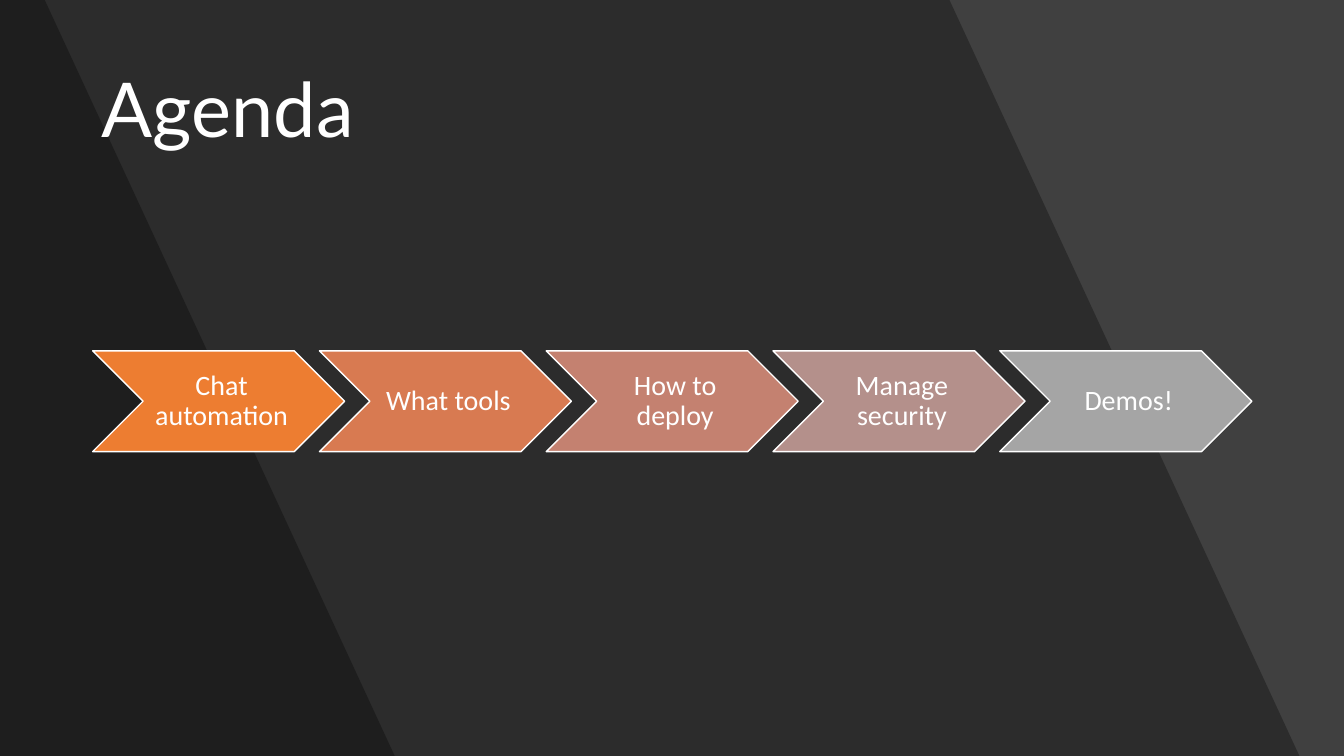
from dataclasses import dataclass

from lxml.etree import SubElement
from pptx import Presentation
from pptx.dml.color import RGBColor
from pptx.enum.shapes import MSO_SHAPE
from pptx.enum.text import MSO_ANCHOR, MSO_AUTO_SIZE, PP_ALIGN
from pptx.oxml.ns import qn
from pptx.util import Pt

WIDE, HIGH = 960, 540


@dataclass(frozen=True)
class Theme:
    back: str = "404040"
    shade: str = "000000"
    light: str = "FFFFFF"
    steps: tuple = ("ED7D31", "D87A51", "C48170", "B4908B", "A5A5A5")
    alpha: int = 30
    head: str = "Lato"
    body: str = "Calibri"
    large: int = 54
    small: int = 20


class Deck:
    def __init__(self, show, theme):
        self.theme = theme
        self.slide = show.slides.add_slide(show.slide_layouts[5])
        self.paint(self.slide.background.fill, theme.back)

    def paint(self, fill, color):
        fill.solid()
        fill.fore_color.rgb = RGBColor.from_string(color)

    def label(self, frame, text, face, size, align):
        frame.word_wrap = True
        frame.auto_size = MSO_AUTO_SIZE.NONE
        frame.vertical_anchor = MSO_ANCHOR.MIDDLE
        para = frame.paragraphs[0]
        para.alignment = align
        para.line_spacing = 0.9
        para.space_before = Pt(0)
        run = para.add_run()
        run.text = text
        run.font.name = face
        run.font.size = Pt(size)
        run.font.color.rgb = RGBColor.from_string(self.theme.light)

    def band(self, top, base):
        pen = self.slide.shapes.build_freeform(0, 0)
        edge = [(top, 0), (base, HIGH), (0, HIGH)]
        pen.add_line_segments([(Pt(x), Pt(y)) for x, y in edge], close=True)
        shape = pen.convert_to_shape()
        shape.shadow.inherit = False
        shape.line.fill.background()
        self.paint(shape.fill, self.theme.shade)
        color = shape.element.spPr.find(qn("a:solidFill"))[0]
        SubElement(color, qn("a:alpha"), val=str(self.theme.alpha * 1000))

    def title(self, text, left, top, width, height):
        shape = self.slide.shapes.title
        shape.left, shape.top = Pt(left), Pt(top)
        shape.width, shape.height = Pt(width), Pt(height)
        shape.element.getparent().append(shape.element)
        self.label(shape.text_frame, text, self.theme.head,
                   self.theme.large, PP_ALIGN.LEFT)

    def step(self, text, color, left, top, width, height):
        shape = self.slide.shapes.add_shape(
            MSO_SHAPE.CHEVRON, Pt(left), Pt(top), Pt(width), Pt(height))
        shape.shadow.inherit = False
        self.paint(shape.fill, color)
        self.paint(shape.line.fill, self.theme.light)
        shape.line.width = Pt(1)
        frame = shape.text_frame
        frame.margin_left = Pt(6.3)
        frame.margin_top = frame.margin_right = frame.margin_bottom = Pt(2.1)
        self.label(frame, text, self.theme.body,
                   self.theme.small, PP_ALIGN.CENTER)


def main():
    show = Presentation()
    show.slide_width, show.slide_height = Pt(WIDE), Pt(HIGH)
    theme = Theme()
    deck = Deck(show, theme)
    deck.band(678.2, 928.2)
    deck.band(32, 282)
    deck.title("Agenda", 65.5, 28.8, 828.7, 104.4)

    topics = ("Chat automation", "What tools", "How to deploy",
              "Manage security", "Demos!")
    width, height = 180, 72
    pitch = width * 0.9
    for index, (topic, color) in enumerate(zip(topics, theme.steps)):
        deck.step(topic, color, 66.2 + index * pitch, 250.6, width, height)
    show.save("out.pptx")


if __name__ == "__main__":
    main()
